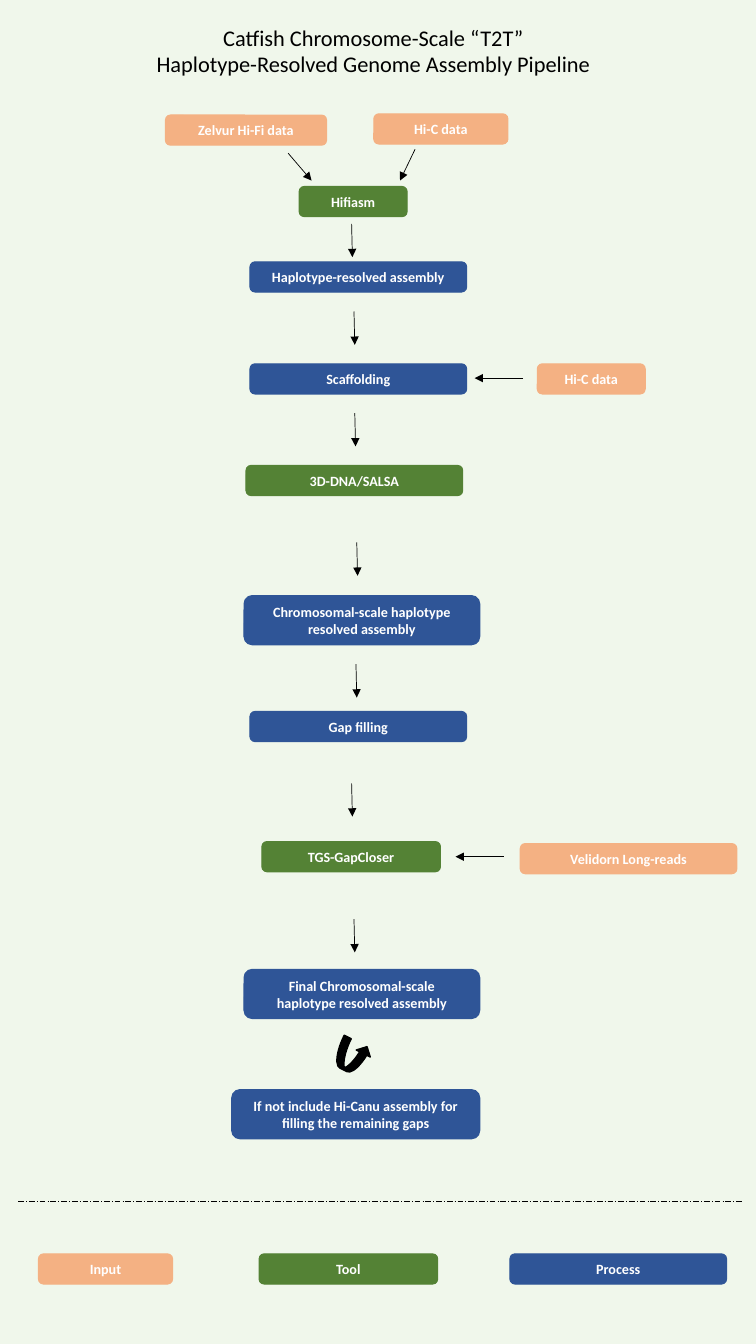
from dataclasses import dataclass

from lxml import etree
from pptx import Presentation
from pptx.dml.color import RGBColor
from pptx.enum.dml import MSO_LINE
from pptx.enum.shapes import MSO_CONNECTOR, MSO_SHAPE
from pptx.enum.text import MSO_ANCHOR, MSO_AUTO_SIZE, PP_ALIGN
from pptx.oxml.ns import qn
from pptx.shapes.autoshape import Shape
from pptx.shapes.connector import Connector
from pptx.slide import Slide
from pptx.text.text import TextFrame
from pptx.util import Cm, Pt

ROUNDED = MSO_SHAPE.ROUNDED_RECTANGLE
CURVED_ARROW = MSO_SHAPE.CURVED_RIGHT_ARROW
STRAIGHT = MSO_CONNECTOR.STRAIGHT
LONG_DASH_DOT = MSO_LINE.LONG_DASH_DOT
CENTER = PP_ALIGN.CENTER
MIDDLE = MSO_ANCHOR.MIDDLE
NO_AUTOFIT = MSO_AUTO_SIZE.NONE

FONT = "Calibri"
BACKGROUND = "F0F7EB"
BLACK = "000000"
WHITE = "FFFFFF"
INPUT = "F4B183"
TOOL = "548235"
PROCESS = "2F5597"

ONE_LINE = 0.76
TWO_LINES = 1.24
LEGEND_TOP = 31.6
DOWN_LENGTH = 0.84
SIDE_LENGTH = 1.22


@dataclass(frozen=True)
class Box:
    text: str
    color: str
    left: float
    top: float
    width: float
    height: float = ONE_LINE


@dataclass(frozen=True)
class Line:
    start_x: float
    start_y: float
    end_x: float
    end_y: float


TITLE_LINES = (
    "Catfish Chromosome-Scale “T2T”",
    "Haplotype-Resolved Genome Assembly Pipeline",
)

BOXES = (
    Box("Zelvur Hi-Fi data", INPUT, 4.17, 2.9, 4.06),
    Box("Hi-C data", INPUT, 9.42, 2.87, 3.38),
    Box("Hifiasm", TOOL, 7.54, 4.7, 2.72),
    Box("Haplotype-resolved assembly", PROCESS, 6.3, 6.6, 5.46),
    Box("Scaffolding", PROCESS, 6.3, 9.17, 5.46),
    Box("Hi-C data", INPUT, 13.54, 9.17, 2.72),
    Box("3D-DNA/SALSA", TOOL, 6.2, 11.73, 5.46),
    Box("Chromosomal-scale haplotype resolved assembly", PROCESS,
        6.15, 15.01, 5.94, TWO_LINES),
    Box("Gap filling", PROCESS, 6.3, 17.93, 5.46),
    Box("TGS-GapCloser", TOOL, 6.6, 21.21, 4.5),
    Box("Velidorn Long-reads", INPUT, 13.11, 21.26, 5.46),
    Box("Final Chromosomal-scale haplotype resolved assembly", PROCESS,
        6.15, 24.43, 5.94, TWO_LINES),
    Box("If not include Hi-Canu assembly for filling the remaining gaps", PROCESS,
        5.84, 27.46, 6.25, TWO_LINES),
    Box("Input", INPUT, 0.97, LEGEND_TOP, 3.38),
    Box("Tool", TOOL, 6.53, LEGEND_TOP, 4.5),
    Box("Process", PROCESS, 12.85, LEGEND_TOP, 5.46),
)

DIAGONAL_ARROWS = (
    Line(7.26, 3.86, 7.85, 4.55),
    Line(10.46, 3.76, 10.08, 4.55),
)
DOWN_STARTS = (
    (8.86, 5.64), (8.92, 7.85), (8.94, 10.41), (8.99, 13.67),
    (8.97, 16.74), (8.86, 19.74), (8.92, 23.16),
)
SIDE_STARTS = ((13.18, 9.53), (12.7, 21.59))
LEGEND_DIVIDER = Line(0.46, 30.28, 18.72, 30.28)


def rgb(color: str) -> RGBColor:
    return RGBColor.from_string(color)


def write_lines(frame: TextFrame, lines: tuple[str, ...], size: float,
                color: str, bold: bool) -> None:
    frame.word_wrap = True
    frame.auto_size = NO_AUTOFIT
    frame.vertical_anchor = MIDDLE
    for index, text in enumerate(lines):
        paragraph = frame.add_paragraph() if index else frame.paragraphs[0]
        paragraph.alignment = CENTER
        paragraph.line_spacing = 1.0
        paragraph.space_before = Pt(0)
        run = paragraph.add_run()
        run.text = text
        run.font.name = FONT
        run.font.size = Pt(size)
        run.font.bold = bold
        run.font.color.rgb = rgb(color)


def paint(shape: Shape, color: str, line_width: float) -> None:
    shape.shadow.inherit = False
    shape.fill.solid()
    shape.fill.fore_color.rgb = rgb(color)
    shape.line.color.rgb = rgb(color)
    shape.line.width = Pt(line_width)


def add_title(slide: Slide) -> None:
    title = slide.shapes.title
    title.left, title.top = Cm(1.5), Cm(0.46)
    title.width, title.height = Cm(15.82), Cm(1.63)
    write_lines(title.text_frame, TITLE_LINES, 16, BLACK, False)


def add_box(slide: Slide, box: Box) -> None:
    shape = slide.shapes.add_shape(
        ROUNDED, Cm(box.left), Cm(box.top), Cm(box.width), Cm(box.height))
    paint(shape, box.color, 0.75)
    frame = shape.text_frame
    frame.margin_left = frame.margin_right = Cm(0.35)
    frame.margin_top = frame.margin_bottom = Cm(0)
    write_lines(frame, (box.text,), 10.1, WHITE, True)


def add_line(slide: Slide, line: Line) -> Connector:
    connector = slide.shapes.add_connector(
        STRAIGHT, Cm(line.start_x), Cm(line.start_y), Cm(line.end_x), Cm(line.end_y))
    connector.line.color.rgb = rgb(BLACK)
    connector.line.width = Pt(0.5)
    etree.SubElement(connector.element.spPr, qn("a:effectLst"))
    return connector


def add_arrow(slide: Slide, line: Line) -> None:
    connector = add_line(slide, line)
    outline = connector.element.spPr.find(qn("a:ln"))
    etree.SubElement(outline, qn("a:tailEnd"), type="triangle")


def add_return_arrow(slide: Slide) -> None:
    arrow = slide.shapes.add_shape(
        CURVED_ARROW, Cm(8.48), Cm(26.21), Cm(0.79), Cm(0.84))
    arrow.rotation = 296.5
    paint(arrow, BLACK, 1)


def main() -> None:
    presentation = Presentation()
    presentation.slide_width = Cm(19.05)
    presentation.slide_height = Cm(33.87)
    slide = presentation.slides.add_slide(presentation.slide_layouts[5])
    slide.background.fill.solid()
    slide.background.fill.fore_color.rgb = rgb(BACKGROUND)

    add_title(slide)
    for box in BOXES:
        add_box(slide, box)
    for line in DIAGONAL_ARROWS:
        add_arrow(slide, line)
    for x, y in DOWN_STARTS:
        add_arrow(slide, Line(x, y, x + 0.02, y + DOWN_LENGTH))
    for x, y in SIDE_STARTS:
        add_arrow(slide, Line(x, y, x - SIDE_LENGTH, y))
    add_return_arrow(slide)
    add_line(slide, LEGEND_DIVIDER).line.dash_style = LONG_DASH_DOT

    presentation.save("out.pptx")


if __name__ == "__main__":
    main()
